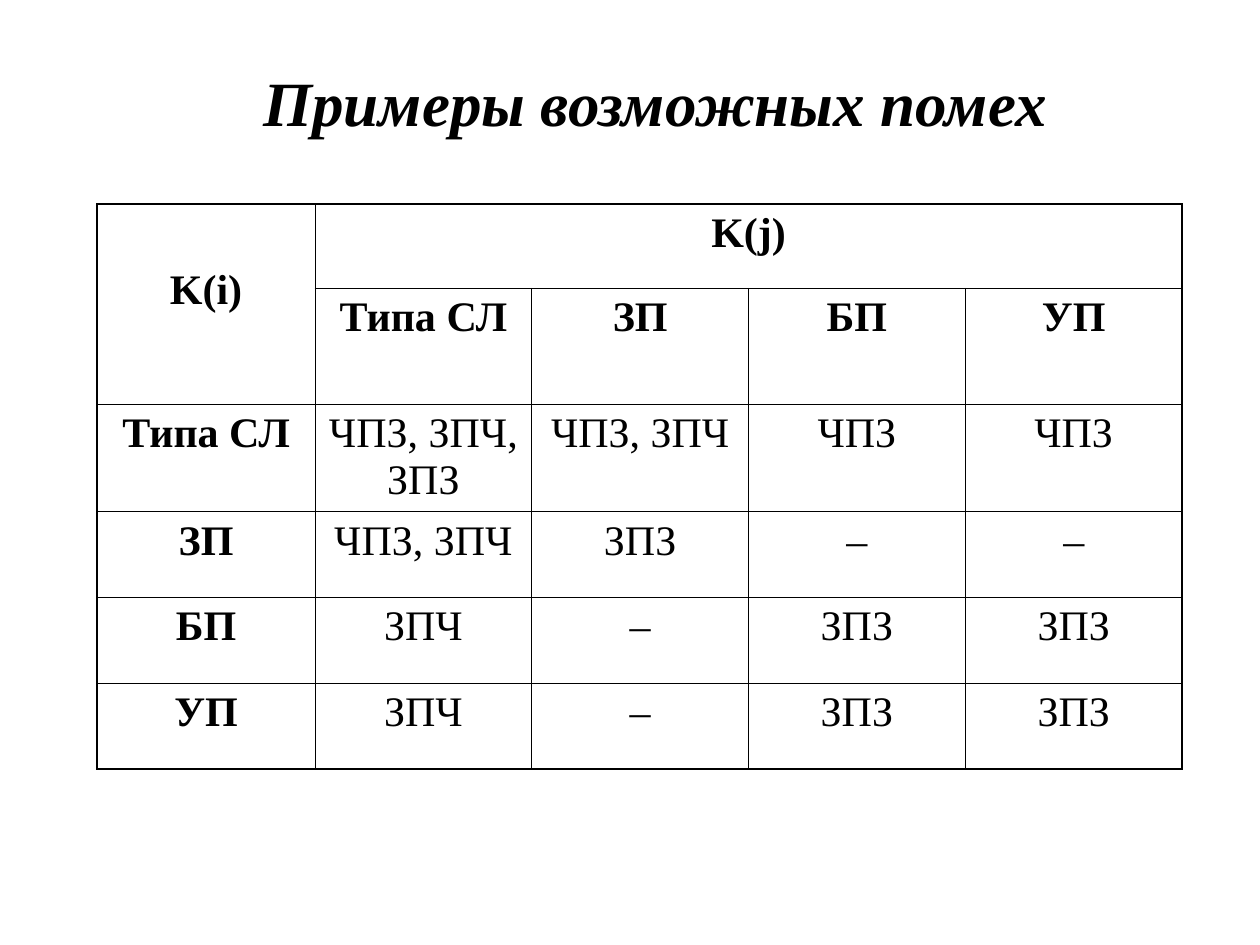
from dataclasses import dataclass

from lxml.etree import SubElement
from pptx import Presentation
from pptx.dml.color import RGBColor
from pptx.enum.text import MSO_VERTICAL_ANCHOR as Anchor, PP_PARAGRAPH_ALIGNMENT as Align
from pptx.oxml.ns import qn
from pptx.util import Cm, Pt


@dataclass(frozen=True)
class Theme:
    font: str = "Times New Roman"
    ink: str = "000000"
    title_size: float = 36
    cell_size: float = 24
    outer_line: float = 1.08
    inner_line: float = 0.45


THEME = Theme()

COLUMN_WIDTHS = [4.39] + [4.37] * 4
ROW_HEIGHTS = [1.7, 2.34, 2.16] + [1.73] * 3
HEADER_ROWS = 2
CHANNELS = ["Типа СЛ", "ЗП", "БП", "УП"]
INTERFERENCE = [
    ["ЧПЗ, ЗПЧ, ЗПЗ", "ЧПЗ, ЗПЧ", "ЧПЗ", "ЧПЗ"],
    ["ЧПЗ, ЗПЧ", "ЗПЗ", "–", "–"],
    ["ЗПЧ", "–", "ЗПЗ", "ЗПЗ"],
    ["ЗПЧ", "–", "ЗПЗ", "ЗПЗ"],
]


def write(frame, text, size, bold=False, italic=False, before=0):
    frame.word_wrap = True
    paragraph = frame.paragraphs[0]
    paragraph.alignment = Align.CENTER
    paragraph.space_before = Pt(before)
    run = paragraph.add_run()
    run.text = text
    font = run.font
    font.name, font.size, font.bold, font.italic = THEME.font, Pt(size), bold, italic
    font.color.rgb = RGBColor.from_string(THEME.ink)


def add_title(slide, text):
    title = slide.shapes.add_textbox(Cm(0.51), Cm(0.74), Cm(25.4), Cm(2.59))
    title.text_frame.vertical_anchor = Anchor.MIDDLE
    write(title.text_frame, text, THEME.title_size, bold=True, italic=True)


def draw_borders(cell, on_edge):
    """Heavy lines on the table's outer edges, thin ones inside."""
    properties = cell._tc.get_or_add_tcPr()
    for side in "LRTB":
        width = THEME.outer_line if on_edge[side] else THEME.inner_line
        line = SubElement(properties, qn(f"a:ln{side}"), w=str(Pt(width)))
        fill = SubElement(line, qn("a:solidFill"))
        SubElement(fill, qn("a:srgbClr"), val=THEME.ink)


def style_cell(cell, row, column):
    if not cell.is_spanned:
        last_row = row + (cell.span_height if cell.is_merge_origin else 1)
        last_column = column + (cell.span_width if cell.is_merge_origin else 1)
        draw_borders(cell, {
            "L": column == 0,
            "R": last_column == len(COLUMN_WIDTHS),
            "T": row == 0,
            "B": last_row == len(ROW_HEIGHTS),
        })
    cell.fill.background()
    cell.margin_bottom = Cm(0.08)


def add_interference_table(slide):
    table = slide.shapes.add_table(
        len(ROW_HEIGHTS), len(COLUMN_WIDTHS), Cm(1.96), Cm(4.11),
        Cm(sum(COLUMN_WIDTHS)), Cm(sum(ROW_HEIGHTS))).table
    table.first_row = table.horz_banding = False
    for column, width in zip(table.columns, COLUMN_WIDTHS):
        column.width = Cm(width)
    for row, height in zip(table.rows, ROW_HEIGHTS):
        row.height = Cm(height)

    # Merged headings
    table.cell(0, 0).merge(table.cell(1, 0))
    table.cell(0, 1).merge(table.cell(0, len(CHANNELS)))

    # Headings and values
    content = [["K(i)", "K(j)"], [""] + CHANNELS]
    content += [[name] + values for name, values in zip(CHANNELS, INTERFERENCE)]
    for r, texts in enumerate(content):
        for c, text in enumerate(texts):
            if text:
                write(table.cell(r, c).text_frame, text, THEME.cell_size,
                      bold=r < HEADER_ROWS or c == 0, before=6)

    # Borders and fills
    for r in range(len(ROW_HEIGHTS)):
        for c in range(len(COLUMN_WIDTHS)):
            style_cell(table.cell(r, c), r, c)
    table.cell(0, 0).margin_top = Cm(1.28)


def main():
    deck = Presentation()
    deck.slide_width, deck.slide_height = Cm(25.4), Cm(19.05)
    slide = deck.slides.add_slide(deck.slide_layouts[6])
    add_interference_table(slide)
    add_title(slide, "Примеры возможных помех")
    deck.save("out.pptx")


if __name__ == "__main__":
    main()
